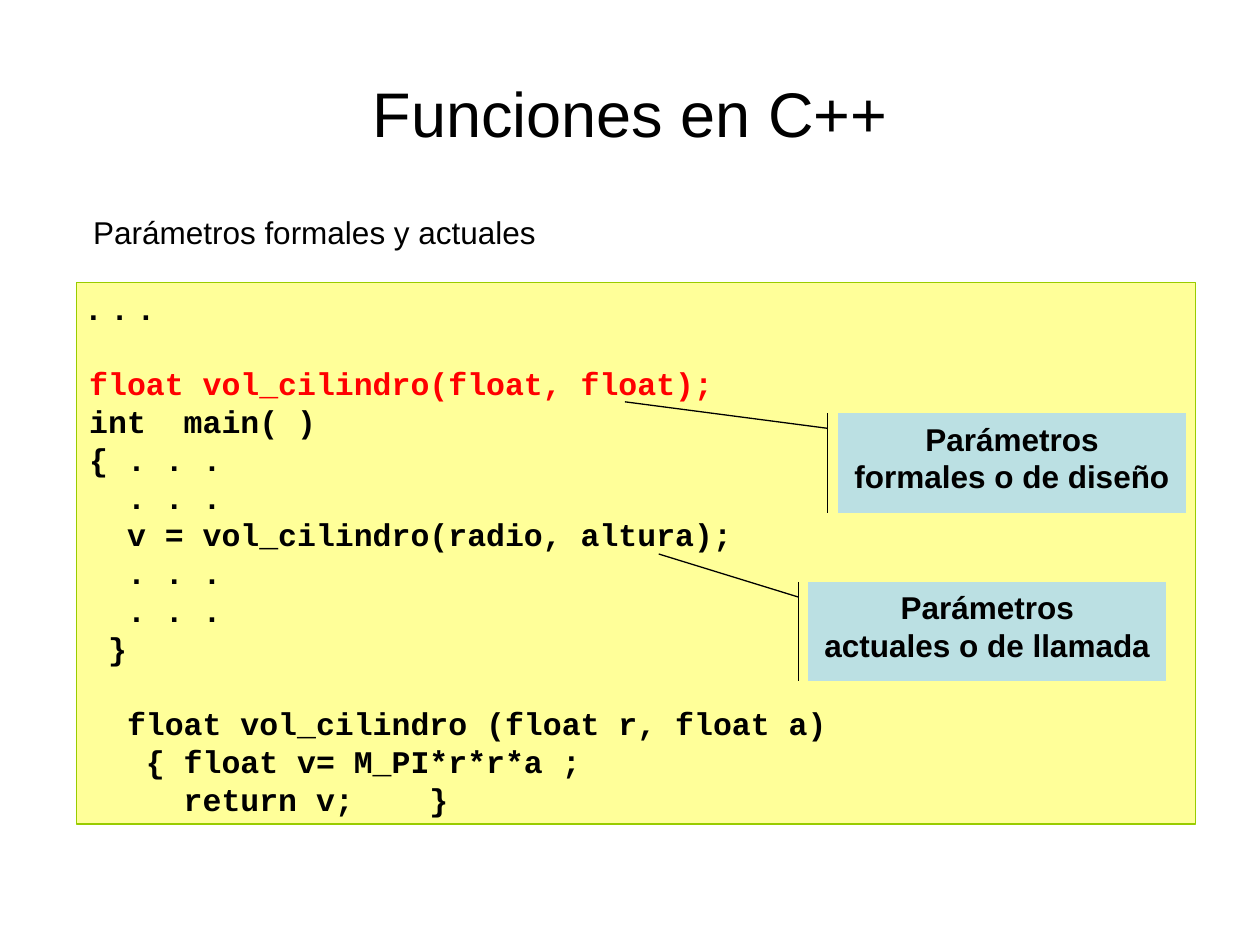
from dataclasses import dataclass

from pptx import Presentation
from pptx.dml.color import RGBColor
from pptx.enum.shapes import MSO_SHAPE as Preset
from pptx.enum.text import MSO_ANCHOR as Anchor, PP_ALIGN as Align
from pptx.util import Pt

BLACK = RGBColor(0x00, 0x00, 0x00)
RED = RGBColor(0xFF, 0x00, 0x00)
YELLOW = RGBColor(0xFF, 0xFF, 0x99)
GREEN = RGBColor(0x99, 0xCC, 0x00)
PALE_BLUE = RGBColor(0xBB, 0xE0, 0xE3)
SANS, MONO = "Arial", "Courier New"
LINE_HEIGHT = 21.6


@dataclass
class Line:
    text: str
    font: str = MONO
    color: RGBColor = BLACK
    bold: bool = True
    size: float = 18
    gap: float = 0  # space before, in points
    align: Align = Align.LEFT


@dataclass
class Callout:
    left: float
    top: float
    width: float
    target: tuple[float, float]  # where the leader ends
    words: tuple[str, ...]
    height: float = 56.7
    bar_gap: float = 5.76
    leader_drop: float = 8.6


CODE = [
    Line(".  .  .", font=SANS),
    Line("float vol_cilindro(float, float);", color=RED, gap=LINE_HEIGHT),
    Line("int  main( )"),
    Line("{ . . ."),
    Line("  . . ."),
    Line("  v = vol_cilindro(radio, altura);"),
    Line("  . . ."),
    Line("  . . ."),
    Line(" }"),
    Line("  float vol_cilindro (float r, float a)", gap=LINE_HEIGHT),
    Line("   { float v= M_PI*r*r*a ;"),
    Line("     return v;    }"),
]
CALLOUTS = [
    Callout(478.8, 236.2, 198.9, (357.1, 229.6),
            ("Parámetros", "formales o de diseño")),
    Callout(461.9, 332.6, 204.4, (376.4, 316.6),
            ("Parámetros", "actuales o de llamada")),
]


def place(shape, left: float, top: float, width: float, height: float) -> None:
    shape.left, shape.top = Pt(left), Pt(top)
    shape.width, shape.height = Pt(width), Pt(height)


def write(frame, lines: list[Line], anchor: Anchor) -> None:
    frame.word_wrap = True
    frame.vertical_anchor = anchor
    for number, line in enumerate(lines):
        paragraph = frame.add_paragraph() if number else frame.paragraphs[0]
        paragraph.alignment = line.align
        paragraph.line_spacing = Pt(line.size * 1.2)
        if line.gap:
            paragraph.space_before = Pt(line.gap)
        run = paragraph.add_run()
        run.text = line.text
        run.font.name, run.font.size = line.font, Pt(line.size)
        run.font.bold = line.bold
        run.font.color.rgb = line.color


def paint(shape, fill: RGBColor, outline: RGBColor) -> None:
    shape.shadow.inherit = False
    shape.fill.solid()
    shape.fill.fore_color.rgb = fill
    shape.line.color.rgb = outline
    shape.line.width = Pt(0.75)


def draw_callout(slide, note: Callout) -> None:
    box = slide.shapes.add_shape(
        Preset.LINE_CALLOUT_1_ACCENT_BAR,
        Pt(note.left), Pt(note.top), Pt(note.width), Pt(note.height))
    paint(box, PALE_BLUE, BLACK)
    # Leader start and end, as fractions of the box: y, x, y, x
    box.adjustments[0] = note.leader_drop / note.height
    box.adjustments[1] = -note.bar_gap / note.width
    box.adjustments[2] = (note.target[1] - note.top) / note.height
    box.adjustments[3] = (note.target[0] - note.left) / note.width
    write(box.text_frame,
          [Line(text, font=SANS, align=Align.CENTER) for text in note.words],
          Anchor.TOP)


def main() -> None:
    deck = Presentation()
    deck.slide_width, deck.slide_height = Pt(720), Pt(540)
    slide = deck.slides.add_slide(deck.slide_layouts[5])

    # Title
    title = slide.shapes.title
    place(title, 116, 27.4, 488, 73.4)
    write(title.text_frame,
          [Line("Funciones en C++", SANS, bold=False, size=36, align=Align.CENTER)],
          Anchor.MIDDLE)

    # Code panel
    panel = slide.shapes.add_shape(
        Preset.RECTANGLE, Pt(43.9), Pt(161.3), Pt(639.4), Pt(309.6))
    paint(panel, YELLOW, GREEN)
    write(panel.text_frame, CODE, Anchor.MIDDLE)

    # Notes on the two kinds of parameters
    for note in CALLOUTS:
        draw_callout(slide, note)

    # Subheading, with room to stay on one line
    subheading = slide.shapes.add_textbox(Pt(46.1), Pt(118.1), Pt(290), Pt(28.8))
    write(subheading.text_frame,
          [Line("Parámetros formales y actuales", SANS, bold=False)],
          Anchor.TOP)

    deck.save("out.pptx")


if __name__ == "__main__":
    main()
